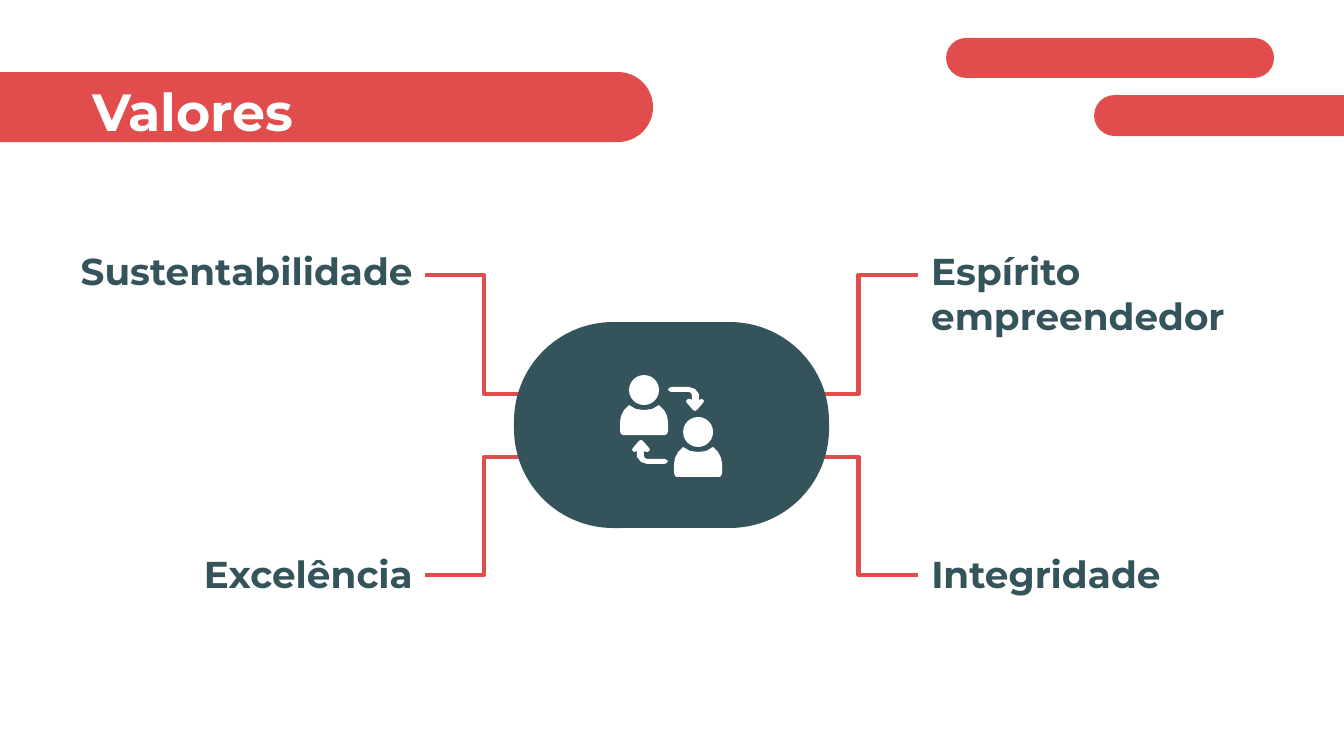
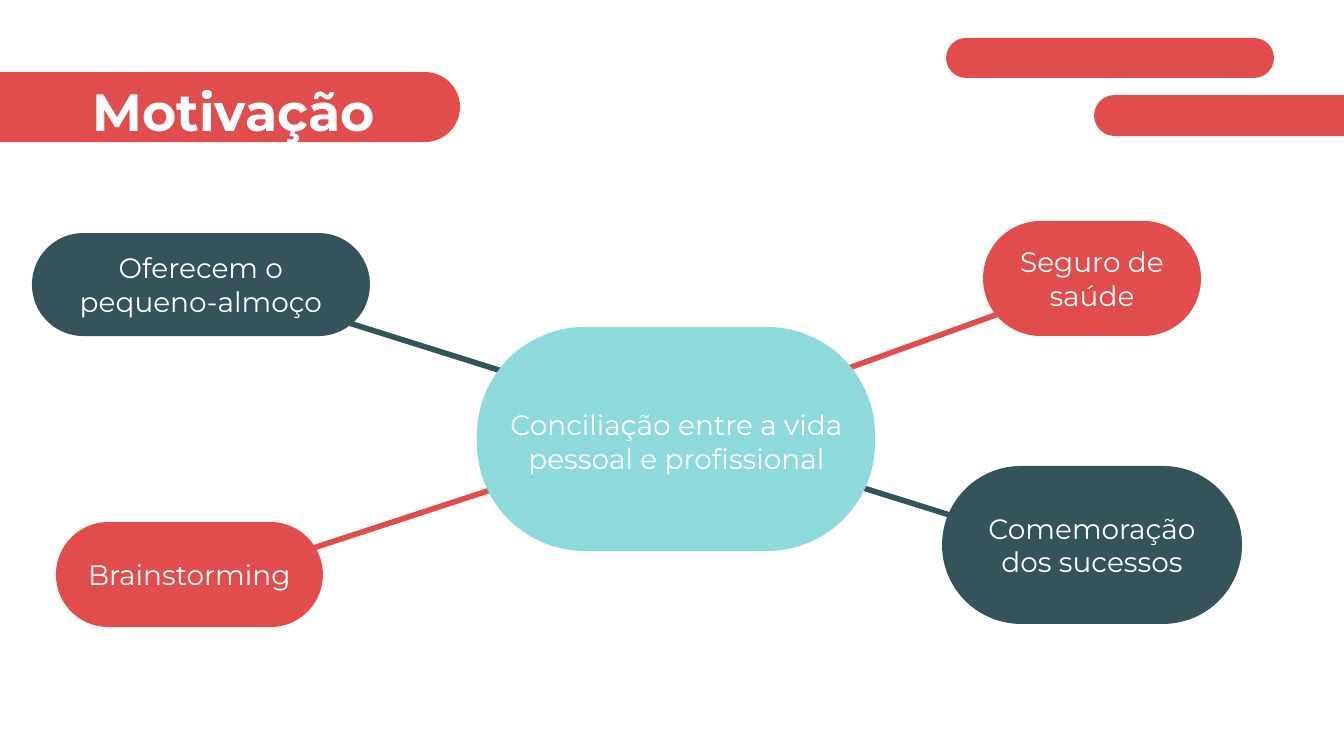
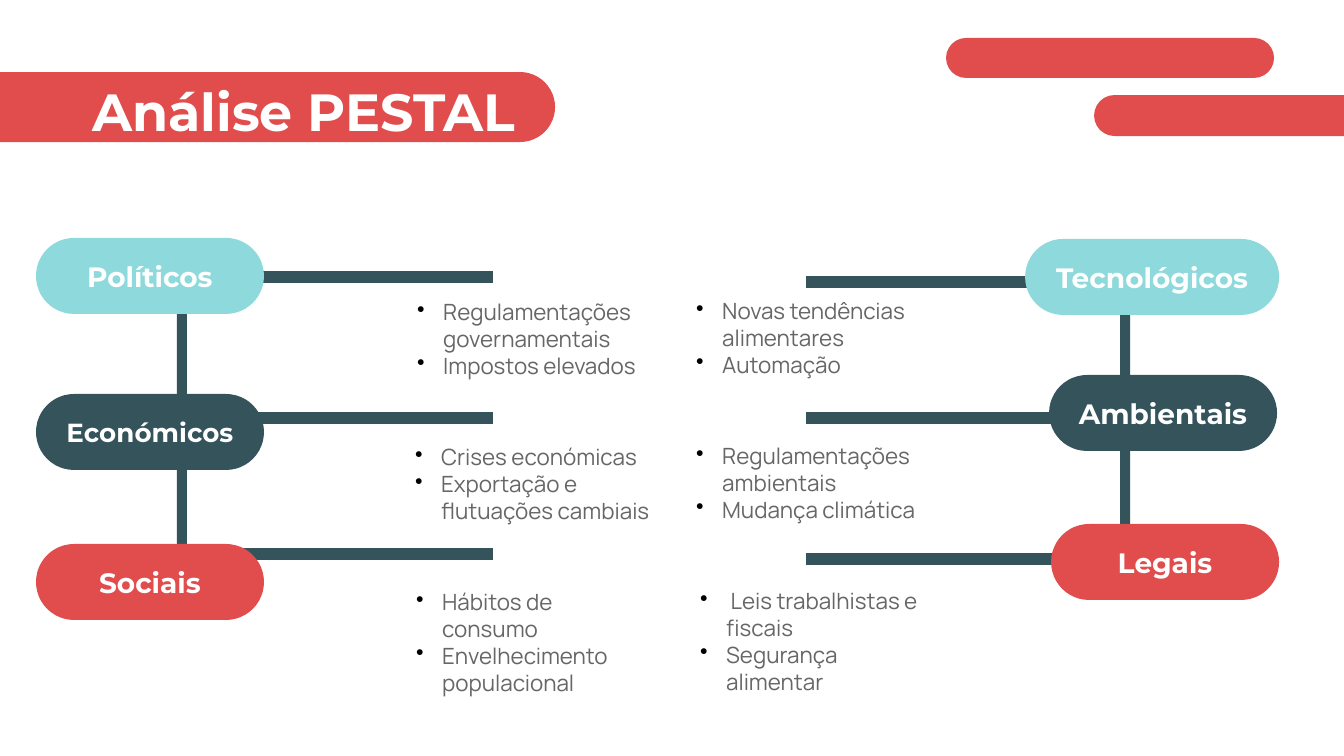
from lxml import etree
from pptx import Presentation
from pptx.dml.color import RGBColor
from pptx.enum.shapes import MSO_CONNECTOR, MSO_SHAPE
from pptx.enum.text import MSO_ANCHOR, MSO_AUTO_SIZE, PP_ALIGN
from pptx.oxml.ns import qn
from pptx.util import Inches, Pt

PX = 6804  # EMU in one px, 134.4 px to the inch
RED = RGBColor(0xE1, 0x4D, 0x4D)
TEAL = RGBColor(0x35, 0x53, 0x5B)
AQUA = RGBColor(0x8E, 0xD9, 0xDC)
GREY = RGBColor(0x66, 0x66, 0x66)
WHITE = RGBColor(0xFF, 0xFF, 0xFF)
HEAD_FONT, LIST_FONT = "Montserrat", "Manrope"
PILL, BAR, OVAL = MSO_SHAPE.ROUNDED_RECTANGLE, MSO_SHAPE.RECTANGLE, MSO_SHAPE.OVAL
STRAIGHT, ELBOW = MSO_CONNECTOR.STRAIGHT, MSO_CONNECTOR.ELBOW
LEFT, CENTER, RIGHT = PP_ALIGN.LEFT, PP_ALIGN.CENTER, PP_ALIGN.RIGHT
TOP, MIDDLE = MSO_ANCHOR.TOP, MSO_ANCHOR.MIDDLE
NO_FIT = MSO_AUTO_SIZE.NONE
MARGIN = Inches(0.1)
BULLET_INDENT = 26


def add_block(slide, box, text="", fill=None, kind=PILL, rounding=0.5, size=15,
              font=HEAD_FONT, color=WHITE, bold=False, align=CENTER, anchor=MIDDLE,
              after=0, bullets=False):
    """Add a filled shape, or a text box when there is no fill, with its text."""
    place = [length * PX for length in box]
    if fill is None:
        block = slide.shapes.add_textbox(*place)
    else:
        block = slide.shapes.add_shape(kind, *place)
        block.shadow.inherit = False
        block.fill.solid()
        block.fill.fore_color.rgb = fill
        block.line.fill.background()
        if kind == PILL:
            block.adjustments[0] = rounding
    if not text:
        return block
    frame = block.text_frame
    frame.word_wrap = True
    frame.vertical_anchor = anchor
    frame.margin_left = frame.margin_right = MARGIN
    frame.margin_top = frame.margin_bottom = MARGIN
    frame.text = text
    for paragraph in frame.paragraphs:
        paragraph.alignment = align
        paragraph.space_after = Pt(after)
        style = paragraph.runs[0].font
        style.name, style.size, style.bold = font, Pt(size), bold
        style.color.rgb = color
        if bullets:
            props = paragraph.runs[0].font._element.getparent().getparent().get_or_add_pPr()
            props.set("marL", str(BULLET_INDENT * PX))
            props.set("indent", str(-BULLET_INDENT * PX))
            bullet_color = etree.SubElement(props, qn("a:buClr"))
            etree.SubElement(bullet_color, qn("a:srgbClr"), val="000000")
            etree.SubElement(props, qn("a:buChar"), char="•")
    return block


def add_line(slide, ends, color, weight, kind=STRAIGHT):
    """Connect two points; an elbow turns at 40.4 % of its width."""
    line = slide.shapes.add_connector(kind, *[length * PX for length in ends])
    line.line.color.rgb = color
    line.line.width = Pt(weight)
    etree.SubElement(line.element.spPr, qn("a:effectLst"))
    if kind == ELBOW:
        guides = line.element.spPr.find(qn("a:prstGeom")).find(qn("a:avLst"))
        etree.SubElement(guides, qn("a:gd"), name="adj1", fmla="val 40400")


deck = Presentation()
deck.slide_width, deck.slide_height = Inches(10), Inches(5.625)
title_layout = deck.slide_layouts[5]

# Title and its band on every slide
slides = []
for heading, band_right in [("Valores", 653), ("Motivação", 460), ("Análise PESTAL", 555)]:
    slide = deck.slides.add_slide(title_layout)
    slides.append(slide)
    title = slide.shapes.title
    band = add_block(slide, (-57, 72, band_right + 57, 70), fill=RED)
    title.element.addprevious(band.element)
    title.left, title.top, title.width, title.height = 79 * PX, 66 * PX, 591 * PX, 85 * PX
    frame = title.text_frame
    frame.text = heading
    frame.auto_size, frame.vertical_anchor, frame.word_wrap = NO_FIT, TOP, True
    frame.margin_left = frame.margin_right = MARGIN
    frame.margin_top = frame.margin_bottom = MARGIN
    frame.paragraphs[0].alignment = LEFT
    style = frame.paragraphs[0].runs[0].font
    style.name, style.size, style.bold = HEAD_FONT, Pt(28), True
    style.color.rgb = WHITE
values, motivation, pestal = slides

# Corner bands, moved to the shared layout
for box in [(946, 38, 328, 40), (1094, 95, 328, 41)]:
    corner_band = add_block(values, box, fill=RED)
    title_layout.shapes.element.append(corner_band.element)

# Values: four labels joined to the centre
for name, left, top, width, align in [
    ("Sustentabilidade", 64, 235, 362, RIGHT),
    ("Excelência", 169, 538, 257, RIGHT),
    ("Espírito empreendedor", 918, 235, 335, LEFT),
    ("Integridade", 918, 538, 305, LEFT),
]:
    add_block(values, (left, top, width, 52), name, size=20, color=TEAL, bold=True,
              align=align, anchor=TOP, after=16)
for label_x, centre_x in [(425, 571), (918, 771)]:
    for label_y, centre_y in [(275, 394), (575, 457)]:
        add_line(values, (label_x, label_y, centre_x, centre_y), RED, 2.25, ELBOW)
add_block(values, (514, 322, 315, 206), fill=TEAL, rounding=0.482)

# Values icon: two people and two arrows, the second arrow turned by 180 degrees
half_body = [(0, 20), (8, 19), (15, 15), (20, 20), (23, 26), (24, 32), (24, 41),
             (23, 44), (21, 45)]
body = half_body + [(-x, y) for x, y in reversed(half_body[1:])]
arrow = [(672, 387), (689, 387), (695, 389), (699, 394), (699, 400), (702, 399),
         (704, 401), (703, 403), (697, 410), (695, 411), (693, 410), (687, 403),
         (686, 401), (688, 399), (690, 399), (692, 400), (692, 395), (691, 393),
         (689, 392), (671, 392), (668, 390), (669, 388)]
outlines = [arrow, [(1336 - x, 851 - y) for x, y in arrow]]
for head_x, head_y in [(644, 390), (698, 432)]:
    add_block(values, (head_x - 15, head_y - 15, 30, 30), fill=WHITE, kind=OVAL)
    outlines.append([(head_x + x, head_y + y) for x, y in body])
for outline in outlines:
    builder = values.shapes.build_freeform(*outline[0], scale=PX)
    builder.add_line_segments(outline[1:], close=True)
    icon_part = builder.convert_to_shape()
    icon_part.shadow.inherit = False
    icon_part.fill.solid()
    icon_part.fill.fore_color.rgb = WHITE
    icon_part.line.fill.background()

# Motivation: links first, then the ideas over them
ideas = [
    ("Oferecem o pequeno-almoço", TEAL, (32, 233, 338, 103), (241, 289, 680, 427)),
    ("Brainstorming", RED, (56, 522, 267, 105), (237, 573, 671, 431)),
    ("Seguro de saúde", RED, (983, 221, 218, 115), (1109, 274, 677, 430)),
    ("Comemoração dos sucessos", TEAL, (942, 466, 300, 158), (1087, 558, 675, 429)),
]
for idea, color, box, link in ideas:
    add_line(motivation, link, color, 3)
add_block(motivation, (477, 327, 398, 224), fill=AQUA, rounding=0.482)
add_block(motivation, (481, 394, 391, 91),
          "Conciliação entre a vida pessoal e profissional", anchor=TOP, after=16)
for idea, color, box, link in ideas:
    add_block(motivation, box, idea, fill=color)

# PESTAL: trunk and branches on each side
for trunk, start, end, branch_rows in [
    ((177, 250, 10, 337), 171, 493, (277, 418, 554)),
    ((1120, 281, 10, 281), 1130, 806, (282, 418, 559)),
]:
    for row in branch_rows:
        add_line(pestal, (start, row, end, row), TEAL, 6)
    add_block(pestal, trunk, fill=TEAL, kind=BAR)

# PESTAL: factors with their lists
for factor, color, size, (left, top, width), (list_left, list_top), points in [
    ("Políticos", AQUA, 15, (36, 238, 228), (404, 285),
     "Regulamentações governamentais\nImpostos elevados"),
    ("Económicos", TEAL, 14, (36, 394, 228), (402, 430),
     "Crises económicas\nExportação e flutuações cambiais"),
    ("Sociais", RED, 15, (36, 544, 228), (403, 575),
     "Hábitos de consumo\nEnvelhecimento populacional"),
    ("Tecnológicos", AQUA, 15, (1025, 239, 254), (683, 284),
     "Novas tendências alimentares\nAutomação"),
    ("Ambientais", TEAL, 15, (1049, 375, 228), (683, 429),
     "Regulamentações ambientais\nMudança climática"),
    ("Legais", RED, 15, (1051, 524, 228), (687, 574),
     " Leis trabalhistas e fiscais\nSegurança alimentar"),
]:
    add_block(pestal, (left, top, width, 76), factor, fill=color, size=size, bold=True)
    add_block(pestal, (list_left, list_top, 262, 91), points, size=12, font=LIST_FONT,
              color=GREY, align=LEFT, anchor=TOP, bullets=True)

deck.save("out.pptx")
